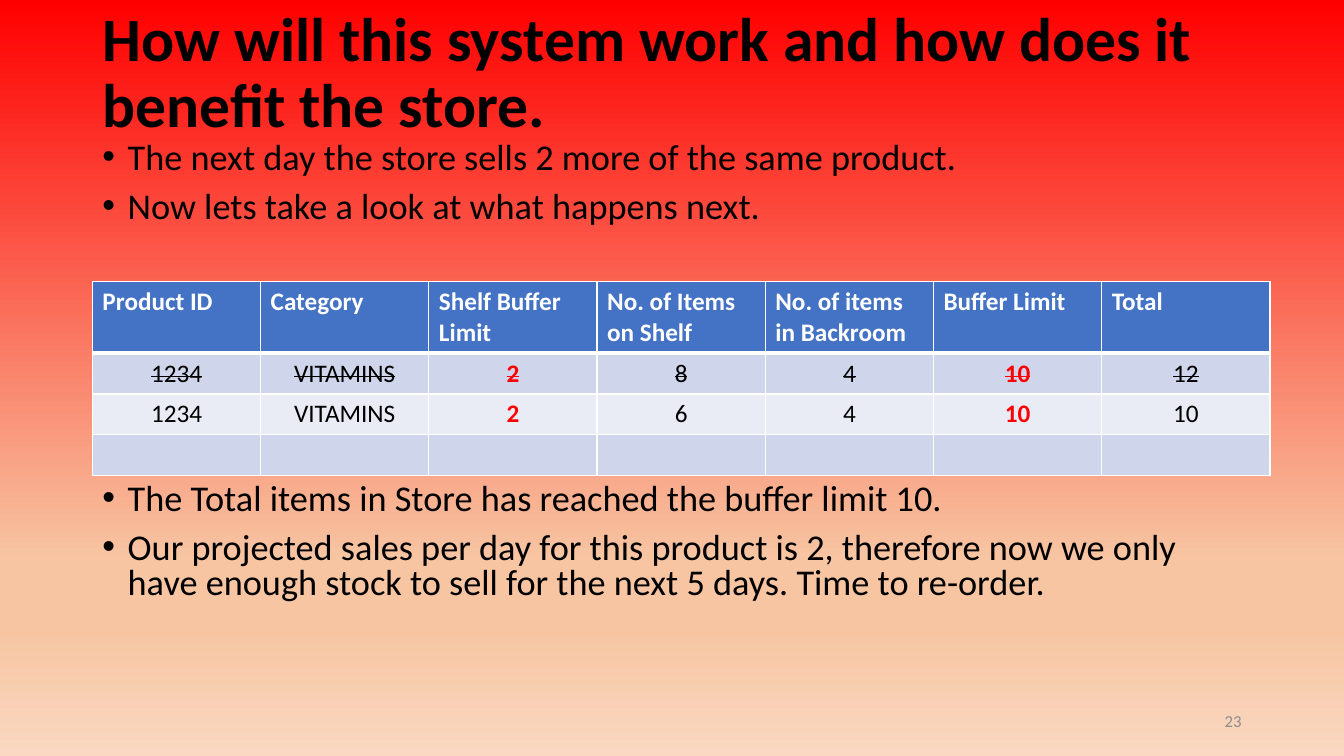
from lxml.etree import SubElement as Sub
from pptx import Presentation
from pptx.dml.color import RGBColor
from pptx.enum.text import MSO_ANCHOR as Anchor, MSO_AUTO_SIZE as Auto, PP_ALIGN as Align
from pptx.oxml.ns import qn
from pptx.util import Inches, Pt

BLACK, WHITE, RED, GREY = "000000", "FFFFFF", "FF0000", "8C8C8C"
HEAD, DARK, LIGHT = "4472C4", "CFD5EA", "E9EBF5"


def color(code):
    return RGBColor.from_string(code)


class Deck:
    font = "Calibri"
    cols, rows = 160, 90

    def __init__(self):
        self.prs = Presentation()
        self.prs.slide_width = Inches(13.33)
        self.prs.slide_height = Inches(7.5)
        self.slide = self.prs.slides.add_slide(self.prs.slide_layouts[1])

    def across(self, n):
        return round(self.prs.slide_width * n / self.cols)

    def down(self, n):
        return round(self.prs.slide_height * n / self.rows)

    def box(self, x, y, w, h):
        return self.across(x), self.down(y), self.across(w), self.down(h)

    def place(self, shape, *area):
        shape.left, shape.top, shape.width, shape.height = self.box(*area)
        frame = shape.text_frame
        frame.word_wrap = True
        frame.auto_size = Auto.NONE
        return frame

    def run(self, para, text, size, code=BLACK, bold=False, strike=False):
        run = para.add_run()
        run.text = text
        font = run.font
        font.name, font.size, font.bold = self.font, Pt(size), bold
        font.color.rgb = color(code)
        if strike:
            run._r.get_or_add_rPr().set("strike", "sngStrike")

    def paint(self, stops):
        fill = self.slide.background.fill
        fill.gradient()
        fill.gradient_angle = 270
        group = next(self.slide.element.iter(qn("a:gsLst")))
        for old in list(group):
            group.remove(old)
        for share, code in stops:
            stop = Sub(group, qn("a:gs"), pos=str(share * 1000))
            Sub(stop, qn("a:srgbClr"), val=code)

    def title(self, text, *area):
        frame = self.place(self.slide.shapes.title, *area)
        frame.vertical_anchor = Anchor.MIDDLE
        para = frame.paragraphs[0]
        para.alignment = Align.LEFT
        para.line_spacing = 0.9
        self.run(para, text, 44, bold=True)

    def bullets(self, items, *area):
        frame = self.place(self.slide.placeholders[1], *area)
        frame.vertical_anchor = Anchor.TOP
        for i, (text, gap) in enumerate(items):
            para = frame.add_paragraph() if i else frame.paragraphs[0]
            para.line_spacing = 0.8
            para.space_before = Pt(gap)
            props = para._p.get_or_add_pPr()
            props.set("marL", str(Inches(0.25)))
            props.set("indent", str(-Inches(0.25)))
            Sub(props, qn("a:buChar"), char="•")
            self.run(para, text, 25.9)

    def note(self, text, *area):
        frame = self.place(self.slide.shapes.add_textbox(*self.box(*area)), *area)
        frame.vertical_anchor = Anchor.MIDDLE
        para = frame.paragraphs[0]
        para.alignment = Align.RIGHT
        self.run(para, text, 12, GREY)

    def edge(self, cell, base):
        props = cell._tc.get_or_add_tcPr()
        for side, width in (("L", 1), ("R", 1), ("T", 1), ("B", base)):
            line = Sub(props, qn("a:ln" + side), w=str(Pt(width)))
            Sub(Sub(line, qn("a:solidFill")), qn("a:srgbClr"), val=WHITE)

    def table(self, data, tall, hot, struck, *area):
        grid = self.slide.shapes.add_table(len(data), len(data[0]), *self.box(*area)).table
        for col in grid.columns:
            col.width = self.across(area[2] / len(data[0]))
        for r, line in enumerate(data):
            grid.rows[r].height = self.down(tall[r])
            for c, text in enumerate(line):
                cell = grid.cell(r, c)
                top = r == 0
                self.edge(cell, 3 if top else 1)
                cell.fill.solid()
                cell.fill.fore_color.rgb = color(HEAD if top else DARK if r % 2 else LIGHT)
                para = cell.text_frame.paragraphs[0]
                para.alignment = Align.LEFT if top else Align.CENTER
                if text:
                    code = WHITE if top else RED if c in hot else BLACK
                    self.run(para, text, 18, code, top or c in hot, r == struck)
                else:
                    para.font.size = Pt(18)


def main():
    deck = Deck()
    deck.paint([(0, RED), (74, "F7C5A2"), (83, "F7C5A2"), (100, "FAD8C1")])
    deck.title("How will this system work and how does it benefit the store.",
               11, 0.2, 138, 17.4)
    deck.bullets([
        ("The next day the store sells 2 more of the same product.", 0),
        ("Now lets take a look at what happens next.", 10),
        ("The Total items in Store has reached the buffer limit 10.", 184),
        ("Our projected sales per day for this product is 2, therefore now we only "
         "have enough stock to sell for the next 5 days. Time to re-order.", 10),
    ], 11, 16.4, 138, 57.1)
    deck.note("23", 113, 83.4, 36, 4.8)
    deck.table([
        ["Product ID", "Category", "Shelf Buffer Limit", "No. of Items on Shelf",
         "No. of items in Backroom", "Buffer Limit", "Total"],
        ["1234", "VITAMINS", "2", "8", "4", "10", "12"],
        ["1234", "VITAMINS", "2", "6", "4", "10", "10"],
        [""] * 7,
    ], [8.4, 4.87, 4.87, 4.87], (2, 5), 1, 11, 33.5, 140.2, 23)
    deck.prs.save("out.pptx")


if __name__ == "__main__":
    main()
